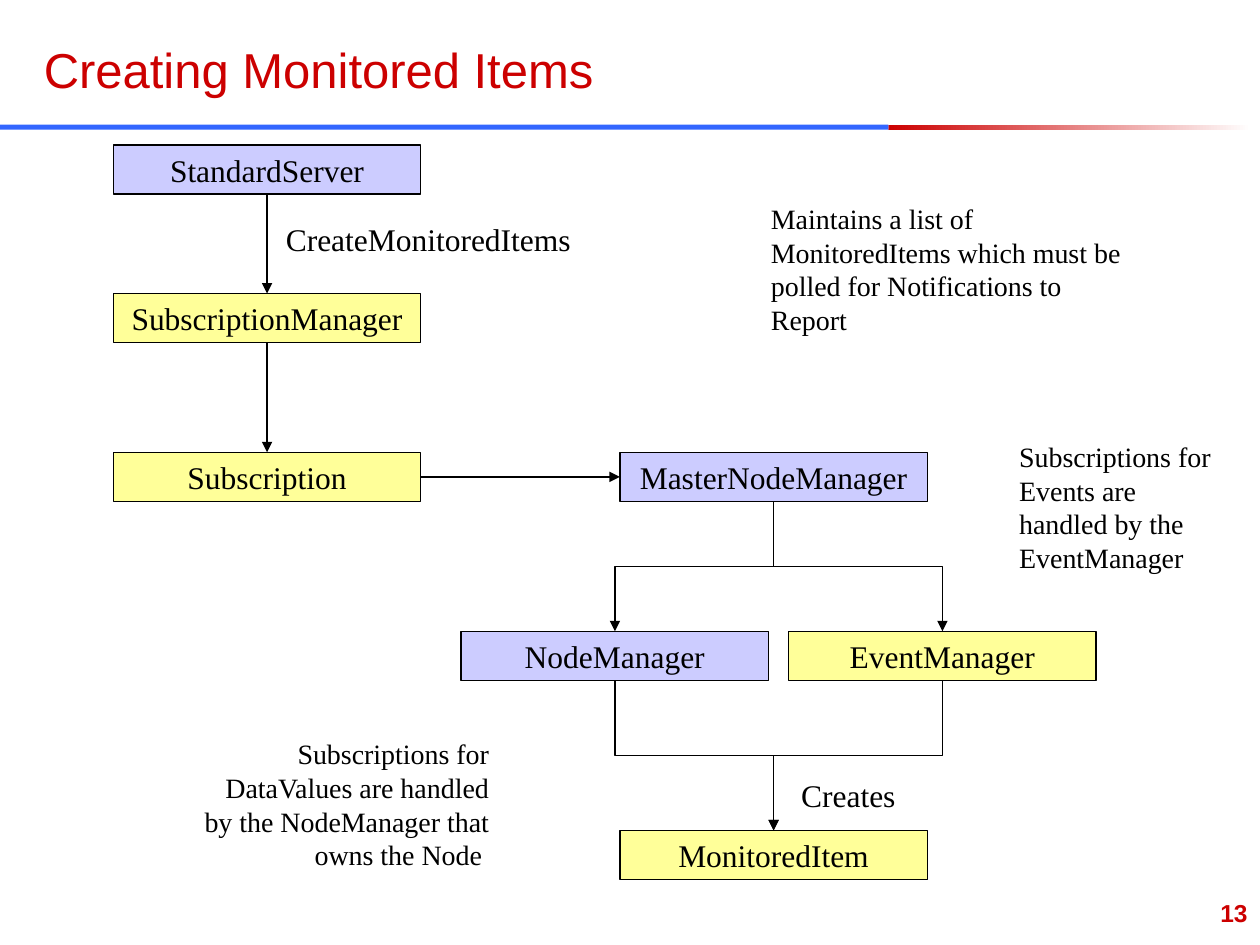
from lxml.etree import SubElement
from pptx import Presentation
from pptx.dml.color import RGBColor
from pptx.enum.shapes import MSO_CONNECTOR, MSO_SHAPE
from pptx.enum.text import MSO_ANCHOR, PP_ALIGN
from pptx.oxml.ns import qn
from pptx.util import Inches, Pt

RED = RGBColor(0xCC, 0x00, 0x00)
BLUE = RGBColor(0x33, 0x66, 0xFF)
LAVENDER = RGBColor(0xCC, 0xCC, 0xFF)
YELLOW = RGBColor(0xFF, 0xFF, 0x99)
BLACK = RGBColor(0x00, 0x00, 0x00)
WHITE = RGBColor(0xFF, 0xFF, 0xFF)

TOP, LEFT, BOTTOM, RIGHT = range(4)
BOX_WIDTH, BOX_HEIGHT = 2.44, 0.39


class FlowSlide:
    body_font = "Times New Roman"
    heading_font = "Arial"
    line_width = Pt(0.75)

    def __init__(self, slide):
        self.slide = slide

    def set_text(self, shape, text, align=PP_ALIGN.LEFT, anchor=MSO_ANCHOR.TOP, wrap=True, **font):
        frame = shape.text_frame
        frame.word_wrap = wrap
        frame.vertical_anchor = anchor
        paragraph = frame.paragraphs[0]
        paragraph.alignment = align
        run = paragraph.add_run()
        run.text = text
        color = font.pop("color", BLACK)
        for name, value in {"name": self.body_font, "size": Pt(18), **font}.items():
            setattr(run.font, name, value)
        run.font.color.rgb = color

    def text(self, text, left, top, width, height, **style):
        area = self.slide.shapes.add_textbox(*map(Inches, (left, top, width, height)))
        self.set_text(area, text, **style)

    def rectangle(self, left, top, width, height):
        rectangle = self.slide.shapes.add_shape(
            MSO_SHAPE.RECTANGLE, *map(Inches, (left, top, width, height)))
        rectangle.shadow.inherit = False
        return rectangle

    def band(self, left, width, *colors):
        band = self.rectangle(left, 0.99, width, 0.04)
        band.line.fill.background()
        if len(colors) == 1:
            band.fill.solid()
            band.fill.fore_color.rgb = colors[0]
            return
        band.fill.gradient()
        band.fill.gradient_angle = 0
        for stop, color in zip(band.fill.gradient_stops, colors):
            stop.color.rgb = color

    def box(self, text, left, top, color):
        box = self.rectangle(left, top, BOX_WIDTH, BOX_HEIGHT)
        box.fill.solid()
        box.fill.fore_color.rgb = color
        box.line.color.rgb = BLACK
        box.line.width = self.line_width
        self.set_text(box, text, PP_ALIGN.CENTER, MSO_ANCHOR.MIDDLE, wrap=False)
        return box

    def arrow(self, source, target, start=BOTTOM, end=TOP, kind=MSO_CONNECTOR.STRAIGHT):
        arrow = self.slide.shapes.add_connector(kind, 0, 0, 0, 0)
        arrow.begin_connect(source, start)
        arrow.end_connect(target, end)
        arrow.line.color.rgb = BLACK
        arrow.line.width = self.line_width
        properties = arrow._element.spPr
        SubElement(properties.find(qn("a:ln")), qn("a:tailEnd"), type="triangle")
        SubElement(properties, qn("a:effectLst"))
        return arrow

    def branch(self, source, target):
        branch = self.arrow(source, target, kind=MSO_CONNECTOR.ELBOW)
        start_x = source.left + source.width // 2
        start_y = source.top + source.height
        run = target.left + target.width // 2 - start_x
        drop = target.top - start_y
        geometry = {
            "left": start_x + (run - drop) // 2,
            "top": start_y + (drop - abs(run)) // 2,
            "width": drop,
            "height": abs(run),
        }
        for name, value in geometry.items():
            setattr(branch, name, value)
        goes_right = run > 0
        turn = {
            "rot": str((270 if goes_right else 90) * 60000),
            "flipH": "1" if goes_right else "0",
            "flipV": "0",
        }
        frame = branch._element.spPr.find(qn("a:xfrm"))
        for name, value in turn.items():
            frame.set(name, value)


def main():
    presentation = Presentation()
    presentation.slide_width = Inches(10)
    presentation.slide_height = Inches(7.5)
    flow = FlowSlide(presentation.slides.add_slide(presentation.slide_layouts[6]))

    flow.band(7.05, 2.88, RED, WHITE)
    flow.band(0, 7.05, BLUE)
    flow.text("Creating Monitored Items", 0.25, 0.25, 6.83, 0.58, anchor=MSO_ANCHOR.BOTTOM,
              name=flow.heading_font, size=Pt(28), color=RED)

    server = flow.box("StandardServer", 0.9, 1.15, LAVENDER)
    subscription_manager = flow.box("SubscriptionManager", 0.9, 2.33, YELLOW)
    subscription = flow.box("Subscription", 0.9, 3.59, YELLOW)
    master = flow.box("MasterNodeManager", 4.92, 3.59, LAVENDER)
    node_manager = flow.box("NodeManager", 3.66, 5.01, LAVENDER)
    event_manager = flow.box("EventManager", 6.26, 5.01, YELLOW)
    monitored_item = flow.box("MonitoredItem", 4.92, 6.59, YELLOW)

    flow.arrow(server, subscription_manager)
    flow.arrow(subscription_manager, subscription)
    flow.arrow(subscription, master, RIGHT, LEFT)
    for manager in (node_manager, event_manager):
        flow.branch(master, manager)
        flow.branch(manager, monitored_item)

    flow.text("CreateMonitoredItems", 2.17, 1.7, 2.46, 0.4, wrap=False)
    flow.text("Creates", 6.26, 6.11, 0.95, 0.4, wrap=False)

    notes = [
        ("Maintains a list of MonitoredItems which must be polled for Notifications to Report",
         6.02, 1.55, 3.15, PP_ALIGN.LEFT),
        ("Subscriptions for Events are handled by the EventManager",
         7.99, 3.44, 1.85, PP_ALIGN.LEFT),
        ("Subscriptions for DataValues are handled by the NodeManager that owns the Node ",
         1.46, 5.8, 2.52, PP_ALIGN.RIGHT),
    ]
    for note, left, top, width, align in notes:
        flow.text(note, left, top, width, 1.18, align=align, size=Pt(16))

    flow.text("13", 7.92, 7.08, 2.08, 0.42, align=PP_ALIGN.RIGHT,
              name=flow.heading_font, size=Pt(14), bold=True, color=RED)

    presentation.save("out.pptx")


if __name__ == "__main__":
    main()
